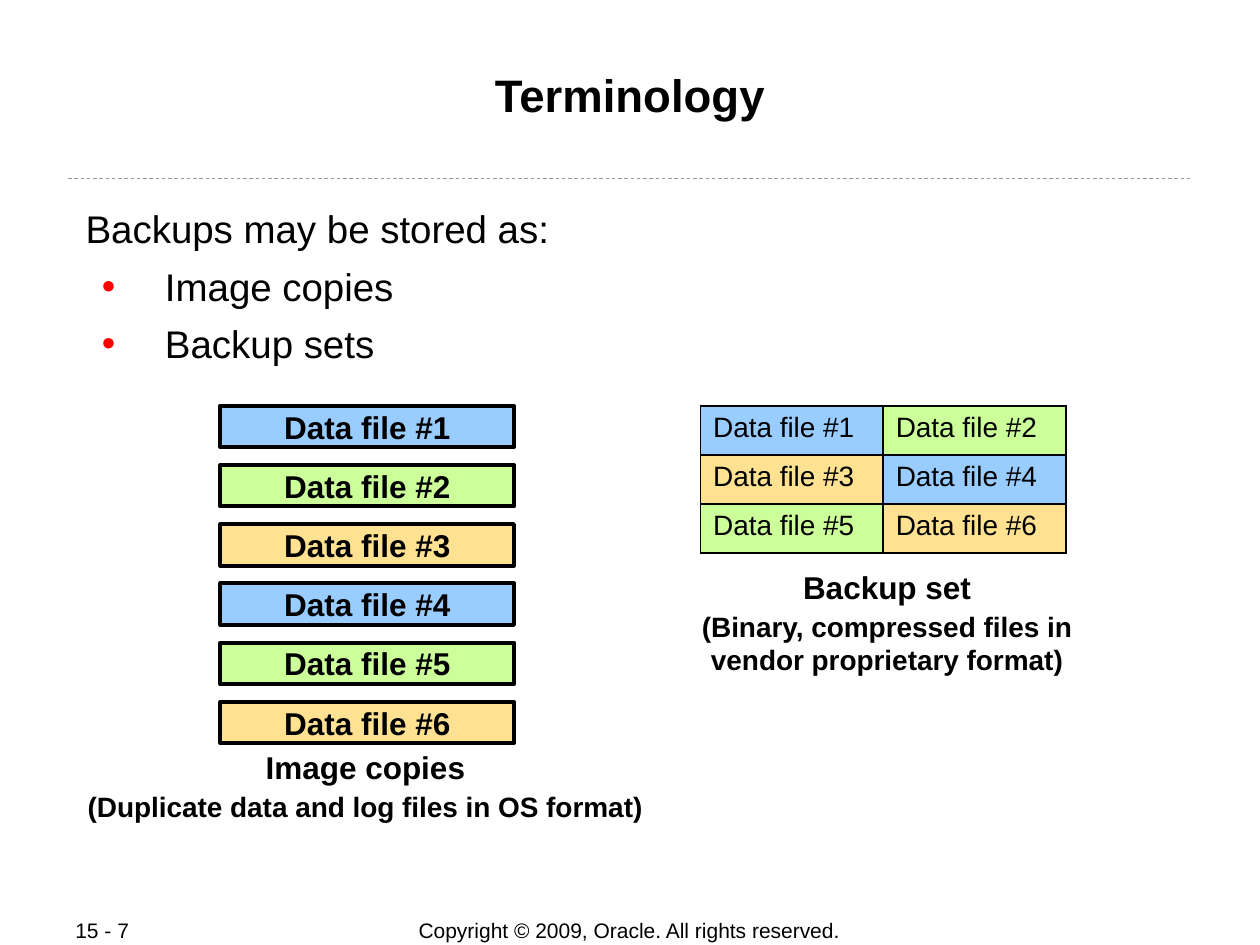
from lxml.etree import SubElement
from pptx import Presentation
from pptx.dml.color import RGBColor
from pptx.enum.dml import MSO_LINE
from pptx.enum.shapes import MSO_CONNECTOR, MSO_SHAPE
from pptx.enum.text import MSO_ANCHOR, MSO_AUTO_SIZE, PP_ALIGN
from pptx.oxml.ns import qn
from pptx.util import Inches, Pt

TITLE = "Terminology"
INTRO = "Backups may be stored as:"
KINDS = ["Image copies", "Backup sets"]
FILES = [f"Data file #{n}" for n in range(1, 7)]
NOTES = [
    ((0.42, 5.89, 4.96, 0.7), "Image copies",
     "(Duplicate data and log files in OS format)"),
    ((5.33, 4.46, 3.42, 0.96), "Backup set",
     "(Binary, compressed files in vendor proprietary format)"),
]
FOOT = [
    ((2.75, 7.28, 4.49, 0.21), "Copyright © 2009, Oracle. All rights reserved.",
     PP_ALIGN.CENTER),
    ((0.5, 7.28, 1.06, 0.2), "15 - 7", PP_ALIGN.LEFT),
]

THEME = {
    "font": "Arial", "ink": "000000", "rule": "999999", "bullet": "FF0000",
    "fills": ["99CCFF", "CCFF99", "FFE291"],
    "title": 26, "body": 22, "label": 18, "small": 16, "foot": 12,
}
STACK = (1.75, 3.22, 2.33, 0.33)
STEP = 0.47
GRID = (5.56, 3.22, 2.9, 1.17)
COLS = 2


def color(name):
    return RGBColor.from_string(THEME.get(name, name))


def place(box):
    return [Inches(v) for v in box]


def style(para, size, bold=False, align=PP_ALIGN.LEFT, before=0):
    para.alignment = align
    para.space_before = Pt(before)
    for run in para.runs:
        font = run.font
        font.name, font.size, font.bold = THEME["font"], Pt(THEME[size]), bold
        font.color.rgb = color("ink")


def setup(frame, lines, anchor=MSO_ANCHOR.TOP, inset=(0.1, 0.05)):
    """Fill a text frame with lines and return its paragraphs."""
    frame.text = "\n".join(lines)
    frame.word_wrap = True
    frame.auto_size = MSO_AUTO_SIZE.NONE
    frame.vertical_anchor = anchor
    frame.margin_left = frame.margin_right = Inches(inset[0])
    frame.margin_top = frame.margin_bottom = Inches(inset[1])
    return frame.paragraphs


def add_text(slide, box, lines, **opts):
    return setup(slide.shapes.add_textbox(*place(box)).text_frame, lines, **opts)


def add_bullet(para):
    props = para._p.get_or_add_pPr()
    props.set("lvl", "1")
    props.set("marL", str(Inches(0.63)))
    props.set("indent", str(Inches(-0.5)))
    tint = SubElement(props, qn("a:buClr"))
    SubElement(tint, qn("a:srgbClr"), val=THEME["bullet"])
    SubElement(props, qn("a:buFont"), typeface=THEME["font"])
    SubElement(props, qn("a:buChar"), char="•")


def add_border(cell):
    props = cell._tc.get_or_add_tcPr()
    for at, side in enumerate(("a:lnL", "a:lnR", "a:lnT", "a:lnB")):
        line = SubElement(props, qn(side), w=str(Pt(1.08)))
        fill = SubElement(line, qn("a:solidFill"))
        SubElement(fill, qn("a:srgbClr"), val=THEME["ink"])
        props.insert(at, line)


def add_head(slide):
    title = slide.shapes.title
    title.left, title.top, title.width, title.height = place((0.67, 0.48, 8.66, 0.96))
    head, = setup(title.text_frame, [TITLE], inset=(0.01, 0.05))
    style(head, "title", True, PP_ALIGN.CENTER)

    rule = slide.shapes.add_connector(
        MSO_CONNECTOR.STRAIGHT, *place((0.54, 1.42, 9.46, 1.42)))
    rule.line.color.rgb = color("rule")
    rule.line.width = Pt(0.5)
    rule.line.dash_style = MSO_LINE.DASH
    SubElement(rule._element.spPr, qn("a:effectLst"))


def add_body(slide):
    intro, *items = add_text(slide, (0.67, 1.58, 8.66, 1.91), [INTRO, *KINDS],
                             inset=(0.01, 0.05))
    style(intro, "body")
    for item in items:
        add_bullet(item)
        style(item, "body", before=6.5)


def add_stack(slide):
    left, top, width, height = STACK
    for n, name in enumerate(FILES):
        bar = slide.shapes.add_shape(
            MSO_SHAPE.RECTANGLE, *place((left, top + n * STEP, width, height)))
        bar.shadow.inherit = False
        bar.fill.solid()
        bar.fill.fore_color.rgb = color(THEME["fills"][n % 3])
        bar.line.color.rgb = color("ink")
        bar.line.width = Pt(2.25)
        label, = setup(bar.text_frame, [name], anchor=MSO_ANCHOR.MIDDLE)
        style(label, "label", True, PP_ALIGN.CENTER)


def add_grid(slide):
    rows = len(FILES) // COLS
    table = slide.shapes.add_table(rows, COLS, *place(GRID)).table
    table.first_row = table.horz_banding = False
    for n, name in enumerate(FILES):
        cell = table.cell(*divmod(n, COLS))
        cell.text = name
        cell.fill.solid()
        cell.fill.fore_color.rgb = color(THEME["fills"][n % 3])
        add_border(cell)
        style(cell.text_frame.paragraphs[0], "small")


def main():
    deck = Presentation()
    deck.slide_width, deck.slide_height = Inches(10), Inches(7.5)
    slide = deck.slides.add_slide(deck.slide_layouts[5])
    add_head(slide)
    add_body(slide)
    add_stack(slide)
    add_grid(slide)
    for box, name, note in NOTES:
        first, second = add_text(slide, box, [name, note])
        style(first, "label", True, PP_ALIGN.CENTER)
        style(second, "small", True, PP_ALIGN.CENTER, before=2)
    for box, words, align in FOOT:
        line, = add_text(slide, box, [words], anchor=MSO_ANCHOR.MIDDLE)
        style(line, "foot", align=align)
    deck.save("out.pptx")


if __name__ == "__main__":
    main()
